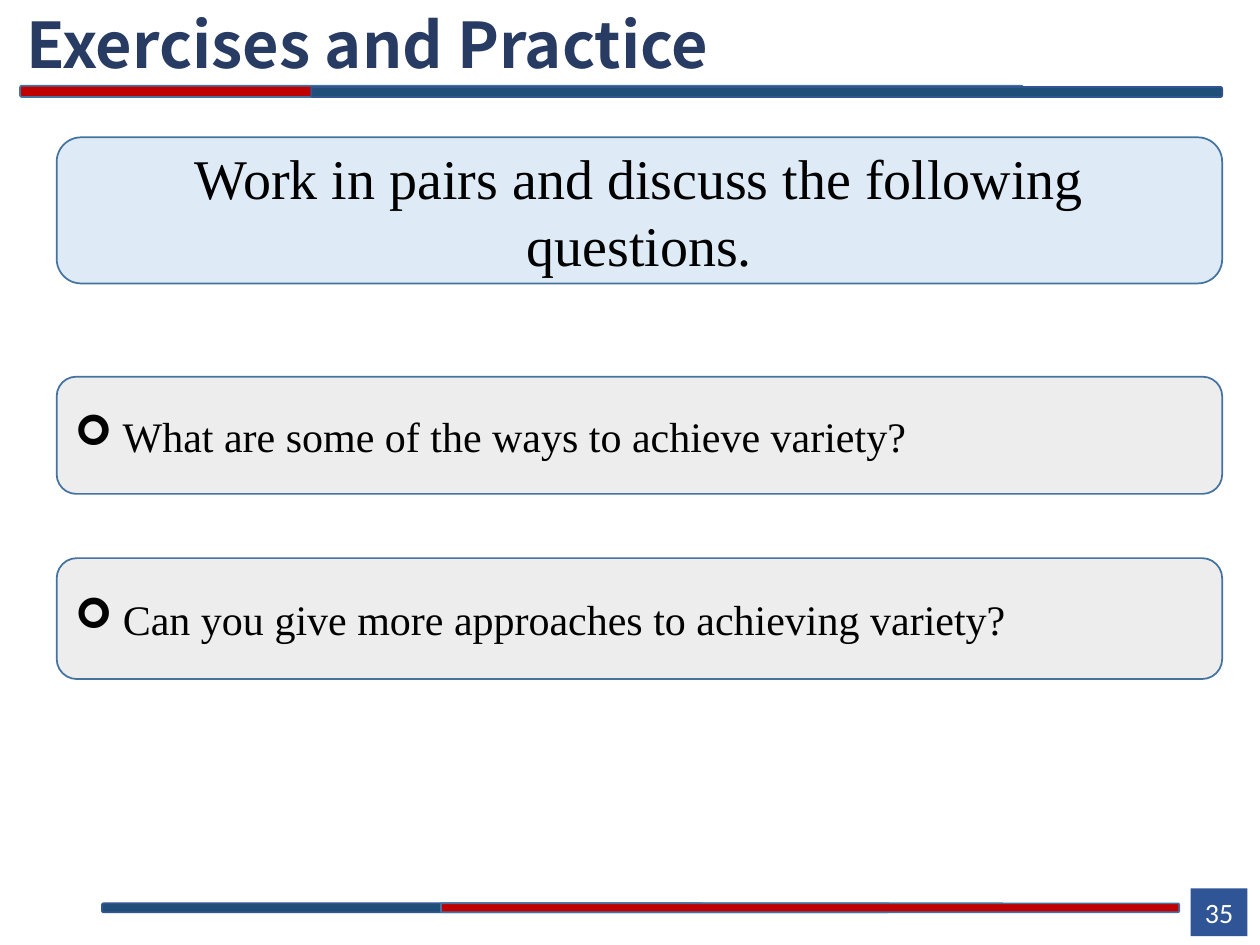
from lxml import etree
from pptx import Presentation
from pptx.dml.color import RGBColor
from pptx.enum.shapes import MSO_SHAPE as SHAPE
from pptx.enum.text import MSO_ANCHOR as ANCHOR, MSO_AUTO_SIZE as AUTO, PP_ALIGN as ALIGN
from pptx.oxml.ns import qn
from pptx.util import Inches, Pt

C = {"navy": "1F4E79", "red": "C00000", "edge": "43739E", "navy_edge": "325491",
     "title": "283B63", "task": "DEEBF7", "question": "EDEDED",
     "number": "2F5597", "black": "000000", "white": "FFFFFF"}

prs = Presentation()
prs.slide_width, prs.slide_height = Inches(10), Inches(7.5)
s = prs.slides.add_slide(prs.slide_layouts[5])


def add_box(parent, kind, at, fill, line=None):
    sp = parent.shapes.add_shape(kind, *[Inches(v) for v in at])
    sp.shadow.inherit = False
    sp.fill.solid()
    sp.fill.fore_color.rgb = RGBColor.from_string(C[fill])
    if line:
        sp.line.color.rgb = RGBColor.from_string(C[line])
        sp.line.width = Pt(1)
    else:
        sp.line.fill.background()
    return sp


def add_text(sp, text, size, font, color, align=ALIGN.LEFT):
    tf = sp.text_frame
    tf.word_wrap = True
    tf.vertical_anchor = ANCHOR.MIDDLE
    p = tf.paragraphs[0]
    p.alignment = align
    r = p.add_run()
    r.text = text
    r.font.size, r.font.name = Pt(size), font
    r.font.color.rgb = RGBColor.from_string(C[color])
    return p


# Two-colour rules under the title and above the footer
rules = [
    [((0.16, 0.68, 7.96, 0.09), "red", "edge"),
     ((2.47, 0.69, 7.23, 0.08), "navy", "navy_edge")],
    [((0.81, 7.17, 6.25, 0.07), "navy", "navy_edge"),
     ((3.5, 7.17, 5.86, 0.07), "red", "edge")],
]
for bars in rules:
    group = s.shapes.add_group_shape()
    for at, fill, line in bars:
        add_box(group, SHAPE.ROUNDED_RECTANGLE, at, fill, line)

# Title
title = s.shapes.title
title.left, title.top = Inches(0.21), Inches(0.03)
title.width, title.height = Inches(6.57), Inches(0.62)
tf = title.text_frame
tf.auto_size = AUTO.NONE
tf.margin_left = tf.margin_right = tf.margin_top = tf.margin_bottom = 0
p = add_text(title, "Exercises and Practice", 36, "Noto Sans CJK SC", "title")
p.runs[0].font.bold = True

# Task and question panels
left, width = 0.45, 9.25
panels = [
    (1.09, 1.16, "task", "Work in pairs and discuss the following questions.", 32, False),
    (2.99, 0.93, "question", "What are some of the ways to achieve variety?", 24, True),
    (4.43, 0.96, "question", "Can you give more approaches to achieving variety?", 24, True),
]
for top, height, fill, text, size, bullet in panels:
    sp = add_box(s, SHAPE.ROUNDED_RECTANGLE, (left, top, width, height), fill, "edge")
    p = add_text(sp, text, size, "Times New Roman", "black",
                 ALIGN.LEFT if bullet else ALIGN.CENTER)
    if bullet:
        pPr = p._p.get_or_add_pPr()
        pPr.set("marL", str(Inches(0.38)))
        pPr.set("indent", str(-Inches(0.38)))
        etree.SubElement(pPr, qn("a:buFont"), typeface="Wingdings")
        etree.SubElement(pPr, qn("a:buChar"), char="➢")

# Page number
sp = add_box(s, SHAPE.RECTANGLE, (9.45, 7.05, 0.45, 0.38), "number")
sp.text_frame.margin_left = sp.text_frame.margin_right = 0
add_text(sp, "35", 16, "Calibri", "white", ALIGN.CENTER)

prs.save("out.pptx")
